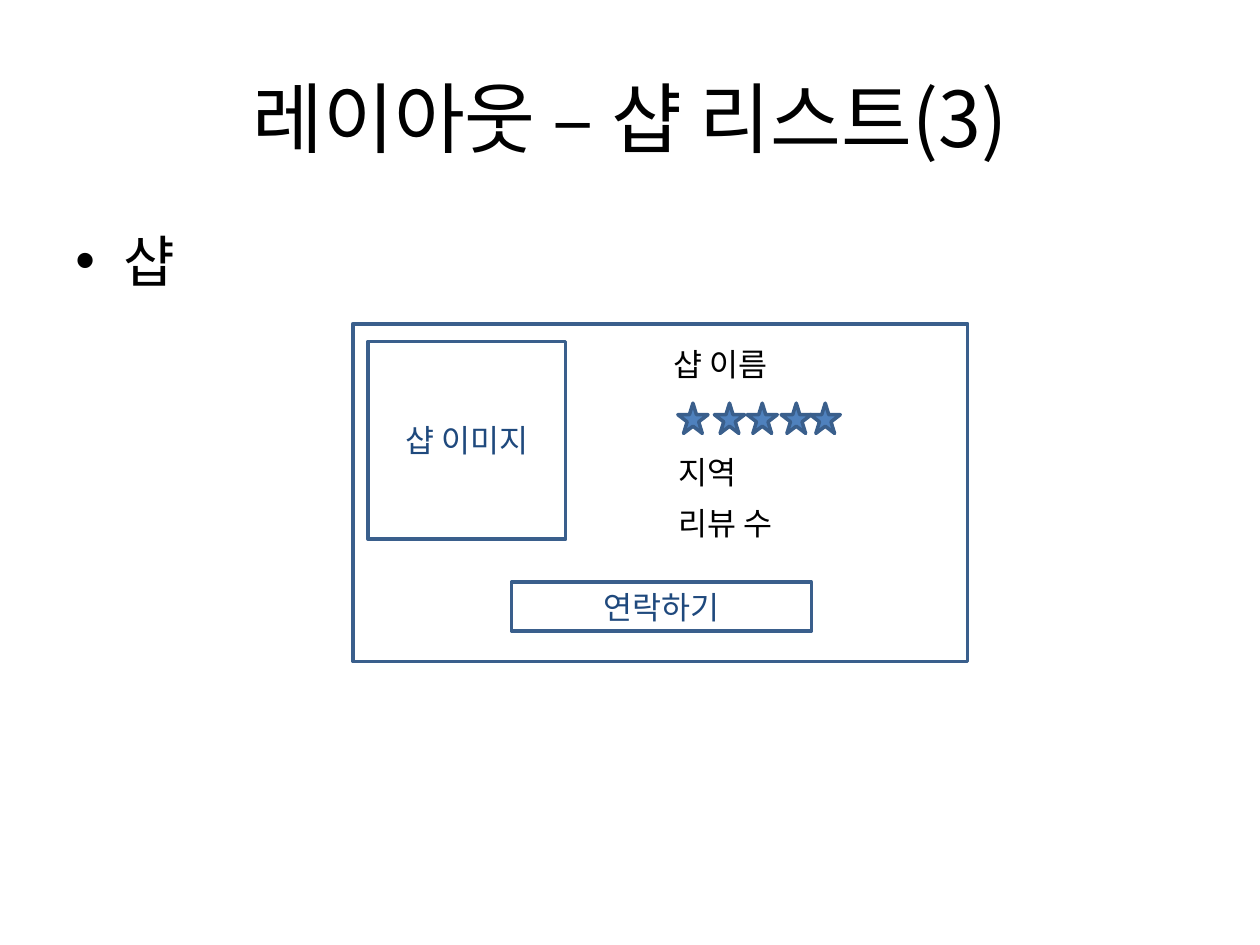
from lxml.etree import SubElement
from pptx import Presentation
from pptx.dml.color import RGBColor
from pptx.enum.shapes import MSO_SHAPE
from pptx.enum.text import MSO_ANCHOR, MSO_AUTO_SIZE, PP_ALIGN
from pptx.oxml.ns import qn
from pptx.util import Inches, Pt

COLUMNS, ROWS = 100, 75
BLACK, NAVY, BLUE, OUTLINE = "000000", "1F497D", "4F81BD", "3A5F8C"


def colour(hex_text):
    return RGBColor.from_string(hex_text)


class Wireframe:
    """Style and current slide; places are (column, row, columns, rows)."""

    font = "Noto Sans CJK KR"
    line_width = Pt(2)

    def __init__(self, deck):
        self.column = deck.slide_width / COLUMNS
        self.row = deck.slide_height / ROWS
        self.slide = deck.slides.add_slide(deck.slide_layouts[5])

    def place(self, left, top, width, height):
        return [int(share * unit) for share, unit in
                zip((left, top, width, height), (self.column, self.row) * 2)]

    def add_text(self, frame, text, size, ink, align, anchor):
        frame.vertical_anchor = anchor
        para = frame.paragraphs[0]
        para.alignment = align
        span = para.add_run()
        span.text = text
        span.font.size = Pt(size)
        span.font.color.rgb = colour(ink)
        span.font.name = self.font
        SubElement(span.font._element, qn("a:ea"), typeface=self.font)
        return para

    def title(self, text, place):
        title = self.slide.shapes.title
        title.left, title.top, title.width, title.height = self.place(*place)
        self.add_text(title.text_frame, text, 44, BLACK, PP_ALIGN.CENTER, MSO_ANCHOR.MIDDLE)

    def text_box(self, text, place, size):
        box = self.slide.shapes.add_textbox(*self.place(*place))
        para = self.add_text(box.text_frame, text, size, BLACK, PP_ALIGN.LEFT, MSO_ANCHOR.TOP)
        return box.text_frame, para

    def label(self, text, place):
        frame, _ = self.text_box(text, place, 18)
        frame.word_wrap = False
        frame.auto_size = MSO_AUTO_SIZE.SHAPE_TO_FIT_TEXT

    def bullet(self, text, place):
        frame, para = self.text_box(text, place, 32)
        frame.word_wrap = True
        para.space_before = Pt(6.4)
        properties = para._p.get_or_add_pPr()
        indent = Inches(0.38)
        properties.set("marL", str(indent))
        properties.set("indent", str(-indent))
        SubElement(properties, qn("a:buFont"), typeface="Arial")
        SubElement(properties, qn("a:buChar"), char="•")

    def outlined(self, shapes, kind, place, fill=None):
        shape = shapes.add_shape(kind, *self.place(*place))
        shape.shadow.inherit = False
        if fill:
            shape.fill.solid()
            shape.fill.fore_color.rgb = colour(fill)
        else:
            shape.fill.background()
        shape.line.color.rgb = colour(OUTLINE)
        shape.line.width = self.line_width
        return shape

    def frame(self, place, text=None):
        box = self.outlined(self.slide.shapes, MSO_SHAPE.RECTANGLE, place)
        if text:
            self.add_text(box.text_frame, text, 18, NAVY, PP_ALIGN.CENTER, MSO_ANCHOR.MIDDLE)

    def rating(self, lefts, top, size):
        group = self.slide.shapes.add_group_shape()
        for left in lefts:
            self.outlined(group.shapes, MSO_SHAPE.STAR_5_POINT, (left, top, size, size), BLUE)


def main():
    deck = Presentation()
    deck.slide_width, deck.slide_height = Inches(10), Inches(7.5)

    page = Wireframe(deck)
    page.title("레이아웃 – 샵 리스트(3)", (5, 3, 90, 12.5))
    page.bullet("샵", (5, 17.5, 90, 49.5))
    page.frame((28, 25.7, 48.8, 26.8))
    page.frame((29.2, 27.1, 15.7, 15.7), "샵 이미지")
    page.label("샵 이름", (52.5, 26.9, 10.5, 4))
    page.rating((53.8, 56.7, 59.3, 62, 64.3), 32, 2.4)
    page.label("지역", (52.9, 35.5, 7.1, 4))
    page.label("리뷰 수", (52.9, 39.5, 10.5, 4))
    page.frame((40.6, 46.2, 23.8, 3.9), "연락하기")

    deck.save("out.pptx")


if __name__ == "__main__":
    main()
